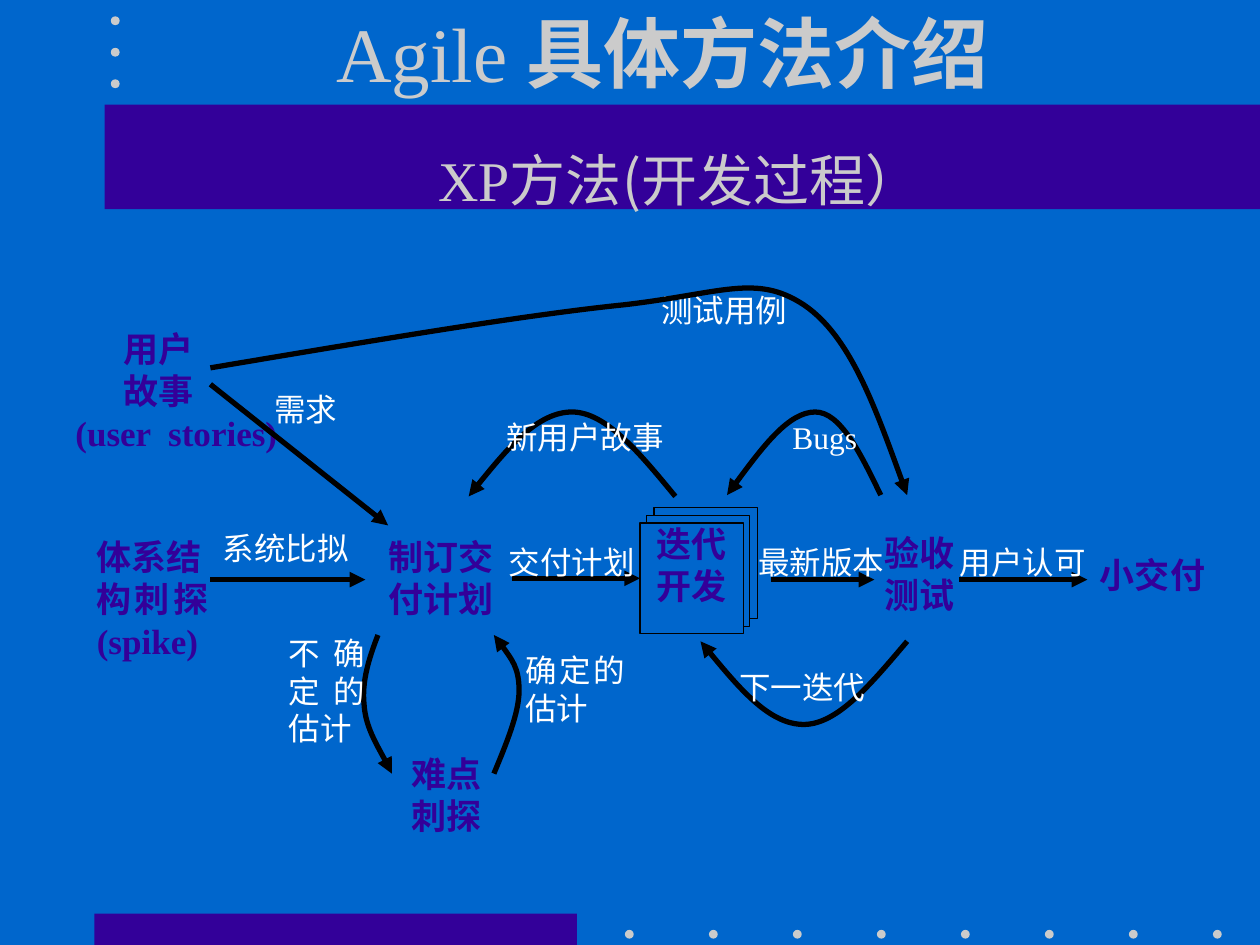
from lxml.etree import SubElement
from pptx import Presentation
from pptx.dml.color import RGBColor
from pptx.enum.shapes import MSO_CONNECTOR, MSO_SHAPE
from pptx.enum.text import MSO_ANCHOR, MSO_AUTO_SIZE, PP_ALIGN
from pptx.oxml.ns import qn
from pptx.util import Inches, Pt

COLORS = {"bg": "0066CC", "band": "330099", "dot": "CBCBCB",
          "label": "FFFFFF", "line": "000000"}
LATIN, CJK = "Times New Roman", "Noto Sans CJK SC"
HEADING = {"size": Pt(44), "name": LATIN}
SUBTITLE = {"size": Pt(32), "name": LATIN}
NODE = {"size": Pt(20), "name": LATIN, "bold": True}
LABEL = {"size": Pt(18), "name": LATIN}

BANDS = [(0.75, 7.25, 3.83, 0.25), (0.83, 0.83, 9.17, 0.83)]
DOTS = ([(4.96 + i * 2 / 3, 7.38) for i in range(8)]
        + [(0.88, 0.13 + i * 0.25) for i in range(3)])

NODES = [
    (["体系结", "构刺探(spike)"], (0.67, 4.2, 1.08, 1.13), (0.1, 0.05)),
    (["制订交", "付计划"], (3.08, 4.2, 1.02, 0.8), (0, 0.05)),
    (["验收", "测试"], (7.02, 4.17, 0.82, 0.88), (0, 0.05)),
    (["小交付"], (8.73, 4.39, 0.85, 0.44), (0, 0)),
    (["难点", "刺探"], (3.17, 5.92, 1.02, 1.1), (0.1, 0.05)),
]
STORIES = (["用户", "故事", "(user  stories)"], (0.5, 2.6, 2.08, 1.15), (0.1, 0))
STORY_INDENTS = [0.38, 0.38, 0]
ITERATION = ["迭代", "开发"]

LABELS = [
    ("系统比拟", 1.67, 4.15), ("交付计划", 3.94, 4.26), ("最新版本", 5.92, 4.26),
    ("用户认可", 7.52, 4.26), ("下一迭代", 5.77, 5.25), ("Bugs", 6.19, 3.27),
    ("新用户故事", 3.92, 3.27), ("需求", 2.08, 3.05), ("测试用例", 5.15, 2.26),
]
LABEL_WIDTHS = {"新用户故事": 1.58}
ESTIMATES = [("不确定的估计", (2.29, 5.03, 0.61, 0.88)),
             ("确定的估计", (4.17, 5.17, 0.79, 0.88))]

ARROWS = [((1.67, 4.6), (2.9, 4.6)), ((6.12, 4.6), (6.94, 4.6)),
          ((7.61, 4.6), (8.63, 4.6)), ((1.67, 3.05), (3.08, 4.17))]
PLAN_ARROW = ((4.06, 4.59), (5.08, 4.59))
CURVES = [
    [(3, 5.04), (2.93, 5.22), (2.87, 5.41), (2.89, 5.59),
     (2.9, 5.77), (3.07, 6.05), (3.11, 6.14)],
    [(3.92, 6.14), (4.02, 5.9), (4.12, 5.66), (4.12, 5.48),
     (4.12, 5.3), (4.02, 5.17), (3.92, 5.04)],
    [(7.2, 5.09), (6.92, 5.42), (6.65, 5.75), (6.38, 5.75),
     (6.11, 5.75), (5.83, 5.42), (5.56, 5.09)],
    [(5.36, 3.94), (5.08, 3.6), (4.81, 3.27), (4.54, 3.27),
     (4.27, 3.27), (3.99, 3.6), (3.72, 3.94)],
    [(6.99, 3.93), (6.83, 3.6), (6.67, 3.27), (6.47, 3.27),
     (6.26, 3.27), (6.01, 3.6), (5.77, 3.93)],
]
TEST_CURVE = [(1.67, 2.92), (2.92, 2.71), (4.16, 2.5), (4.95, 2.42),
              (5.73, 2.33), (6, 2.17), (6.38, 2.42),
              (6.75, 2.67), (6.97, 3.3), (7.2, 3.93)]


def rgb(key):
    return RGBColor.from_string(COLORS[key])


def set_frame(tf, inset, **formats):
    dx, dy = map(Inches, inset)
    values = {"margin_left": dx, "margin_right": dx, "margin_top": dy,
              "margin_bottom": dy, "word_wrap": True,
              "vertical_anchor": MSO_ANCHOR.TOP,
              "auto_size": MSO_AUTO_SIZE.NONE, **formats}
    for name, value in values.items():
        setattr(tf, name, value)


def add_run(p, text, font, color):
    r = p.add_run()
    r.text = text
    for name, value in font.items():
        setattr(r.font, name, value)
    r.font.color.rgb = rgb(color)
    SubElement(r.font._element, qn("a:ea"), typeface=CJK)


def write(tf, lines, font, color, align):
    for i, line in enumerate(lines):
        p = tf.add_paragraph() if i else tf.paragraphs[0]
        p.alignment = align
        add_run(p, line, font, color)


def add_text(s, lines, box, inset, font, color):
    tf = s.shapes.add_textbox(*map(Inches, box)).text_frame
    set_frame(tf, inset)
    write(tf, lines, font, color, PP_ALIGN.JUSTIFY)
    return tf


def add_filled(s, kind, box, color, outline=None):
    sp = s.shapes.add_shape(kind, *map(Inches, box))
    sp.shadow.inherit = False
    sp.fill.solid()
    sp.fill.fore_color.rgb = rgb(color)
    if outline:
        sp.line.color.rgb = rgb(outline)
        sp.line.width = Pt(0.75)
    else:
        sp.line.fill.background()
    return sp


def style_arrow(sp):
    sp.line.color.rgb = rgb("line")
    sp.line.width = Pt(3)
    SubElement(sp.line._get_or_add_ln(), qn("a:tailEnd"), type="triangle")


def add_arrow(s, start, end):
    c = s.shapes.add_connector(MSO_CONNECTOR.STRAIGHT, *map(Inches, start + end))
    style_arrow(c)
    SubElement(c._element.spPr, qn("a:effectLst"))
    return c


def add_curve(s, points):
    start, *controls = [tuple(map(Inches, point)) for point in points]
    builder = s.shapes.build_freeform(*start)
    builder.add_line_segments(controls, close=False)
    sp = builder.convert_to_shape()
    segments = list(sp._element.iter(qn("a:lnTo")))
    outline = segments[0].getparent()
    for i in range(0, len(segments), 3):
        curve = SubElement(outline, qn("a:cubicBezTo"))
        for segment in segments[i:i + 3]:
            curve.append(segment[0])
            outline.remove(segment)
    sp.shadow.inherit = False
    sp.fill.background()
    style_arrow(sp)


def main():
    prs = Presentation()
    prs.slide_width, prs.slide_height = Inches(10), Inches(7.5)
    s = prs.slides.add_slide(prs.slide_layouts[5])
    s.background.fill.solid()
    s.background.fill.fore_color.rgb = rgb("bg")

    for box in BANDS:
        add_filled(s, MSO_SHAPE.RECTANGLE, box, "band")
    for x, y in DOTS:
        add_filled(s, MSO_SHAPE.OVAL, (x, y, 0.07, 0.07), "dot")

    title = s.shapes.title
    title.left, title.top, title.width, title.height = map(Inches, (1, 0, 8.52, 0.83))
    set_frame(title.text_frame, (0.1, 0.05), vertical_anchor=MSO_ANCHOR.BOTTOM)
    p = title.text_frame.paragraphs[0]
    p.alignment = PP_ALIGN.CENTER
    add_run(p, "Agile ", HEADING, "dot")
    add_run(p, "具体方法介绍", {**HEADING, "bold": True}, "dot")

    tf = s.shapes.add_textbox(*map(Inches, (3.38, 1.11, 4.35, 0.64))).text_frame
    set_frame(tf, (0.1, 0.05), margin_right=0)
    add_run(tf.paragraphs[0], "XP", SUBTITLE, "dot")
    add_run(tf.paragraphs[0], "方法(开发过程）", {**SUBTITLE, "name": CJK}, "dot")

    for node in NODES:
        add_text(s, *node, NODE, "band")
    tf = add_text(s, *STORIES, NODE, "band")
    for p, indent in zip(tf.paragraphs, STORY_INDENTS):
        p._p.get_or_add_pPr().set("marL", str(Inches(indent)))

    for x, y in [(5.19, 4.03), (5.13, 4.09), (5.08, 4.15)]:
        card = add_filled(s, MSO_SHAPE.RECTANGLE, (x, y, 0.82, 0.88), "bg", "line")
    set_frame(card.text_frame, (0, 0))
    write(card.text_frame, ITERATION, NODE, "band", PP_ALIGN.CENTER)

    for start, end in ARROWS:
        add_arrow(s, start, end)
    add_arrow(s, *PLAN_ARROW).end_connect(card, 1)
    for points in CURVES:
        add_curve(s, points)

    for text, x, y in LABELS:
        box = (x, y, LABEL_WIDTHS.get(text, 1.23), 0.66)
        add_text(s, [text], box, (0.1, 0.05), LABEL, "label")
    for text, box in ESTIMATES:
        add_text(s, [text], box, (0, 0), LABEL, "label")
    add_curve(s, TEST_CURVE)

    prs.save("out.pptx")


if __name__ == "__main__":
    main()
